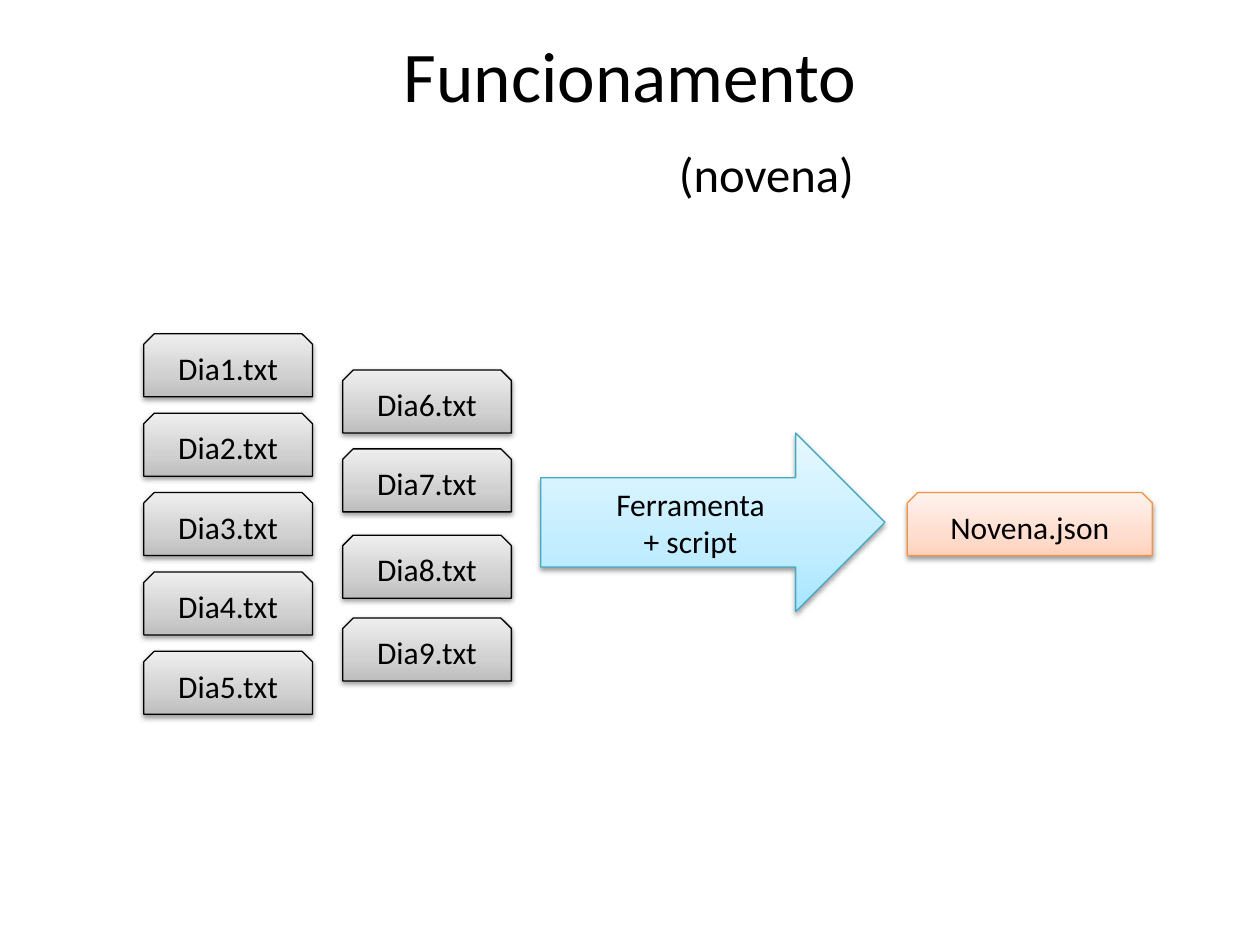
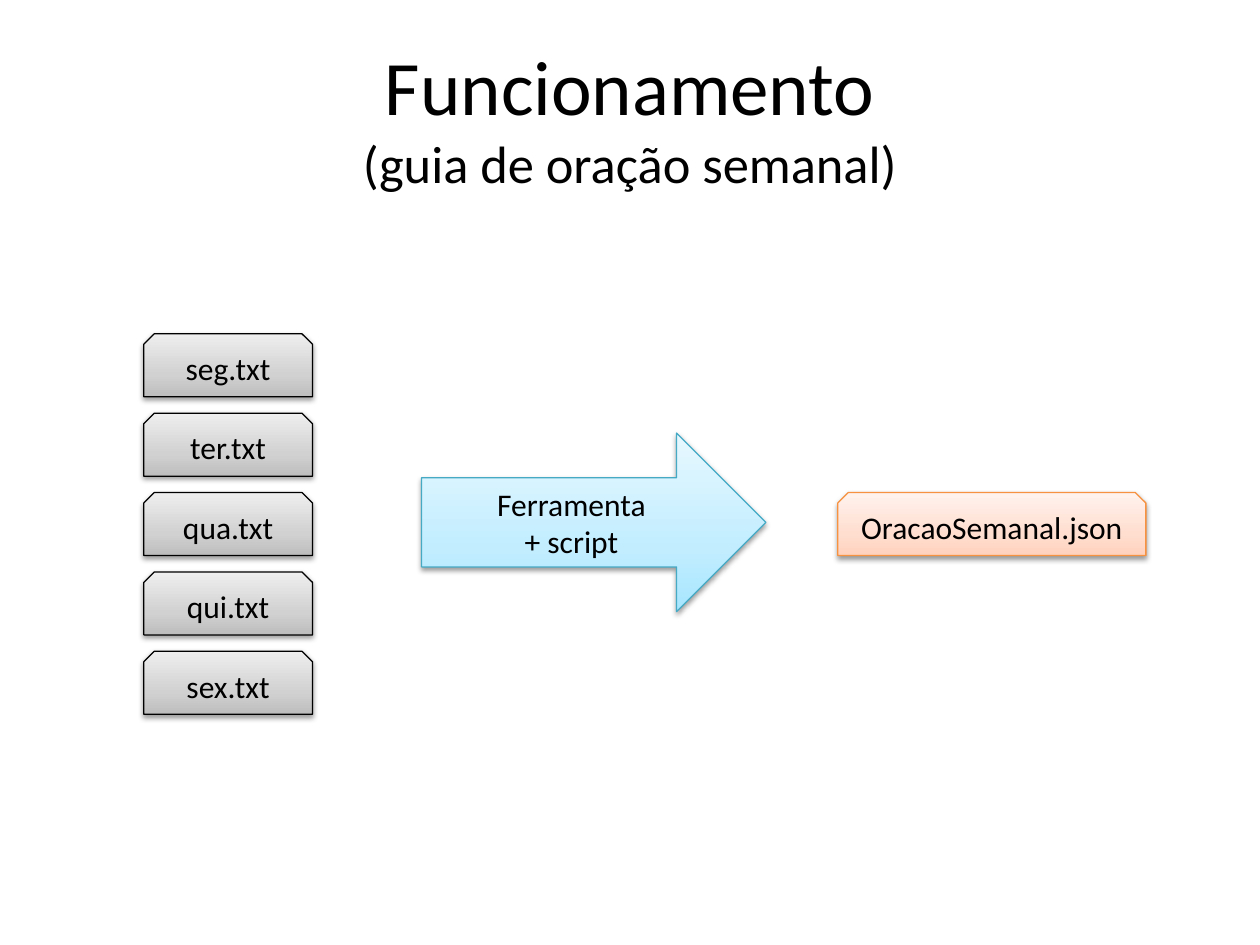
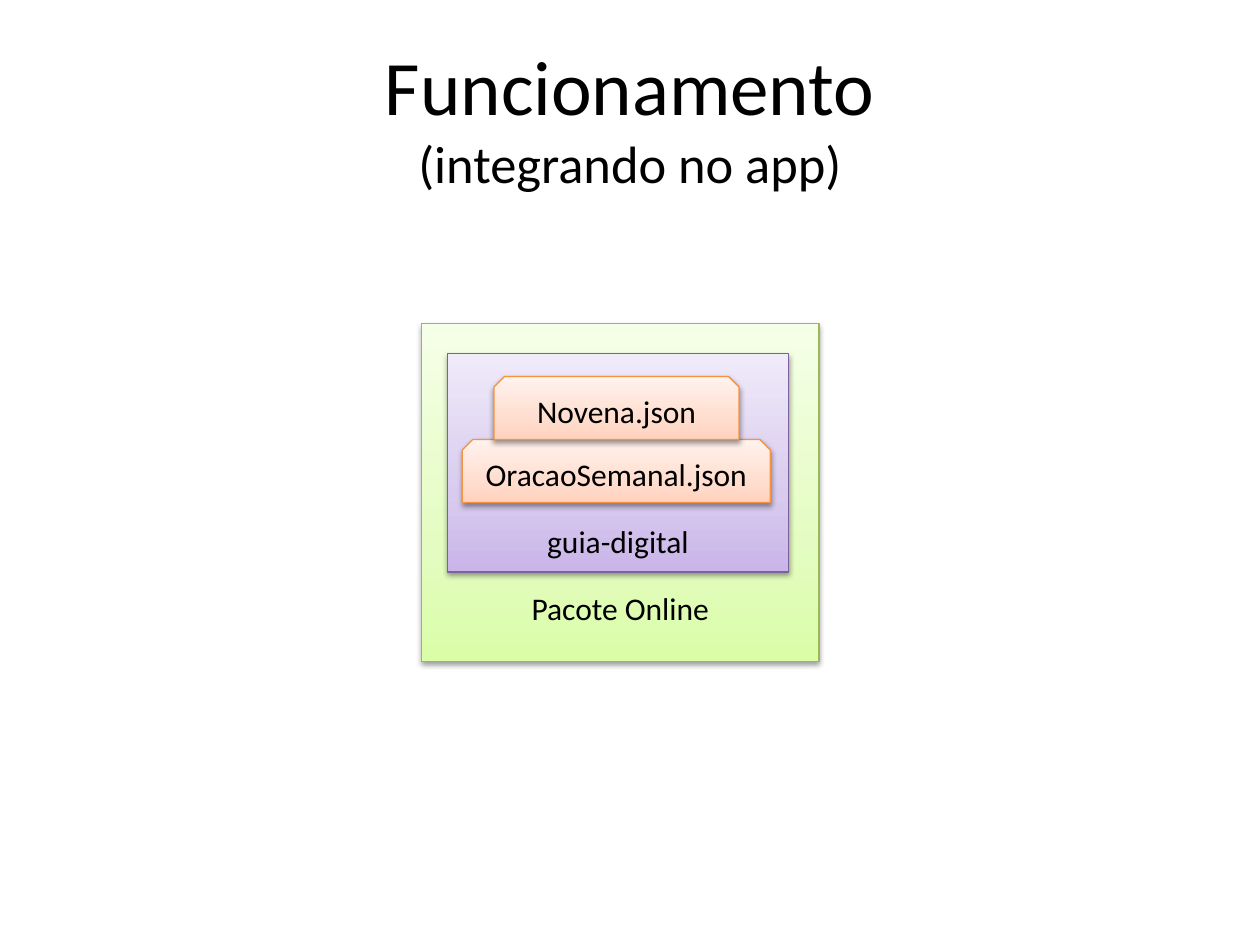
from dataclasses import dataclass

from lxml.etree import SubElement
from pptx import Presentation
from pptx.dml.color import RGBColor
from pptx.enum.shapes import MSO_SHAPE as Preset
from pptx.enum.text import MSO_ANCHOR as Anchor, MSO_AUTO_SIZE as AutoSize, PP_ALIGN as Align
from pptx.oxml.ns import qn
from pptx.util import Cm, Emu, Pt

FONT = "Calibri"
BLACK = "000000"
TITLE_ONLY = 5
EMU_PER_POINT = 12700


@dataclass(frozen=True)
class Look:
    """Gradient from bottom to top, and outline colour."""
    bottom: str
    middle: str
    top: str
    line: str


@dataclass(frozen=True)
class Box:
    text: str
    left: float
    top: float
    width: float
    height: float
    look: Look
    preset: Preset = Preset.SNIP_2_SAME_RECTANGLE
    label_gap: float | None = None  # distance of a bottom label from the edge


GREY = Look("BDBDBD", "D1D1D1", "EEEEEE", BLACK)
ORANGE = Look("FFD2BD", "FFDED0", "FFF2ED", "F69240")
BLUE = Look("A7E6FF", "C1EDFF", "E7F8FF", "46AAC5")
GREEN = Look("DAFDA7", "E4FCC2", "F5FFE7", "98B955")
PURPLE = Look("C9B5E8", "D8CBEE", "F0EAF9", "7D60A0")

# Shared measures, in centimetres
FILE_HEIGHT = 1.27
TEXT_FILE_WIDTH = 3.4
FIRST_COLUMN, SECOND_COLUMN = 2.9, 6.91
FIRST_TOP, FILE_PITCH = 6.73, 1.6
FIRST_COLUMN_TOPS = [FIRST_TOP + row * FILE_PITCH for row in range(5)]
SECOND_COLUMN_TOPS = [7.46, 9.05, 10.79, 12.46]
RESULT_TOP = FIRST_COLUMN_TOPS[2]


# Kinds of box
def text_files(names: list[str], left: float, tops: list[float]) -> list[Box]:
    return [Box(f"{name}.txt", left, top, TEXT_FILE_WIDTH, FILE_HEIGHT, GREY)
            for name, top in zip(names, tops)]


def novena_file(left: float, top: float) -> Box:
    return Box("Novena.json", left, top, 4.94, FILE_HEIGHT, ORANGE)


def weekly_file(left: float, top: float) -> Box:
    return Box("OracaoSemanal.json", left, top, 6.21, FILE_HEIGHT, ORANGE)


def tool_arrow(left: float) -> Box:
    return Box("Ferramenta\n+ script", left, 8.73, 6.94, 3.6, BLUE, Preset.RIGHT_ARROW)


# Formatting
def colour(value: str) -> RGBColor:
    return RGBColor.from_string(value)


def add_span(para, text: str, size: float) -> None:
    span = para.add_run()
    span.text = text
    span.font.name = FONT
    span.font.size = Pt(size)
    span.font.color.rgb = colour(BLACK)


def add_gradient(shape, look: Look) -> None:
    shape.fill.gradient()
    shape.fill.gradient_angle = 90
    stops = shape._element.spPr.find(".//" + qn("a:gsLst"))
    stops.clear()
    for position, value in ((0, look.bottom), (35, look.middle), (100, look.top)):
        stop = SubElement(stops, qn("a:gs"), pos=str(position * 1000))
        SubElement(stop, qn("a:srgbClr"), val=value)


def add_shadow(shape) -> None:
    shape.shadow.inherit = False
    effects = shape._element.spPr.find(qn("a:effectLst"))
    shadow = SubElement(effects, qn("a:outerShdw"),
                        blurRad=str(int(3.1 * EMU_PER_POINT)),
                        dist=str(int(1.6 * EMU_PER_POINT)),
                        dir="5400000", rotWithShape="0")
    tint = SubElement(shadow, qn("a:srgbClr"), val=BLACK)
    SubElement(tint, qn("a:alpha"), val="38000")


def draw_box(page, box: Box) -> None:
    shape = page.shapes.add_shape(box.preset, Cm(box.left), Cm(box.top),
                                  Cm(box.width), Cm(box.height))
    add_gradient(shape, box.look)
    shape.line.color.rgb = colour(box.look.line)
    shape.line.width = Pt(0.75)
    add_shadow(shape)

    frame = shape.text_frame
    frame.word_wrap = True
    frame.vertical_anchor = Anchor.MIDDLE
    if box.label_gap is not None:
        frame.vertical_anchor = Anchor.BOTTOM
        frame.margin_bottom = Cm(box.label_gap)
    para = frame.paragraphs[0]
    para.alignment = Align.CENTER
    for number, line in enumerate(box.text.split("\n")):
        if number:
            para.add_line_break()
        add_span(para, line, 18)


@dataclass(frozen=True)
class Page:
    subtitle: str
    boxes: list[Box]
    title_size: float = 44
    subtitle_size: float = 30
    subtitle_indent: float = 0
    subtitle_gap: float = 0


def draw_title(slide, page: Page) -> None:
    title = slide.shapes.title
    title.left, title.top, title.width, title.height = Cm(1.27), Cm(0.76), Cm(22.86), Cm(3.18)
    frame = title.text_frame
    frame.auto_size = AutoSize.NONE
    frame.word_wrap = True
    frame.vertical_anchor = Anchor.MIDDLE
    heading, subtitle = frame.paragraphs[0], frame.add_paragraph()
    for para in (heading, subtitle):
        para.alignment = Align.CENTER
    add_span(heading, "Funcionamento", page.title_size)
    add_span(subtitle, page.subtitle, page.subtitle_size)
    subtitle.space_before = Pt(page.subtitle_gap)
    subtitle._p.get_or_add_pPr().set("marL", str(Emu(Cm(page.subtitle_indent))))


PAGES = [
    # Nine days become one file
    Page("(novena)",
         [novena_file(18.29, RESULT_TOP),
          *text_files([f"Dia{day}" for day in range(1, 6)], FIRST_COLUMN, FIRST_COLUMN_TOPS),
          *text_files([f"Dia{day}" for day in range(6, 10)], SECOND_COLUMN, SECOND_COLUMN_TOPS),
          tool_arrow(10.9)],
         title_size=40.7, subtitle_size=27.8, subtitle_indent=5.5, subtitle_gap=15.7),
    # Five weekdays become one file
    Page("(guia de oração semanal)",
         [weekly_file(16.89, RESULT_TOP),
          *text_files(["seg", "ter", "qua", "qui", "sex"], FIRST_COLUMN, FIRST_COLUMN_TOPS),
          tool_arrow(8.5)]),
    # Both files nested in the package
    Page("(integrando no app)",
         [Box("Pacote Online", 8.5, 6.52, 8.01, 6.81, GREEN, Preset.RECTANGLE, 0.69),
          Box("guia-digital", 9.02, 7.13, 6.88, 4.4, PURPLE, Preset.RECTANGLE, 0.25),
          weekly_file(9.32, 8.86),
          novena_file(9.96, 7.59)]),
]


def main() -> None:
    deck = Presentation()
    deck.slide_width, deck.slide_height = Cm(25.4), Cm(19.05)
    for page in PAGES:
        slide = deck.slides.add_slide(deck.slide_layouts[TITLE_ONLY])
        draw_title(slide, page)
        for box in page.boxes:
            draw_box(slide, box)
    deck.save("out.pptx")


if __name__ == "__main__":
    main()
